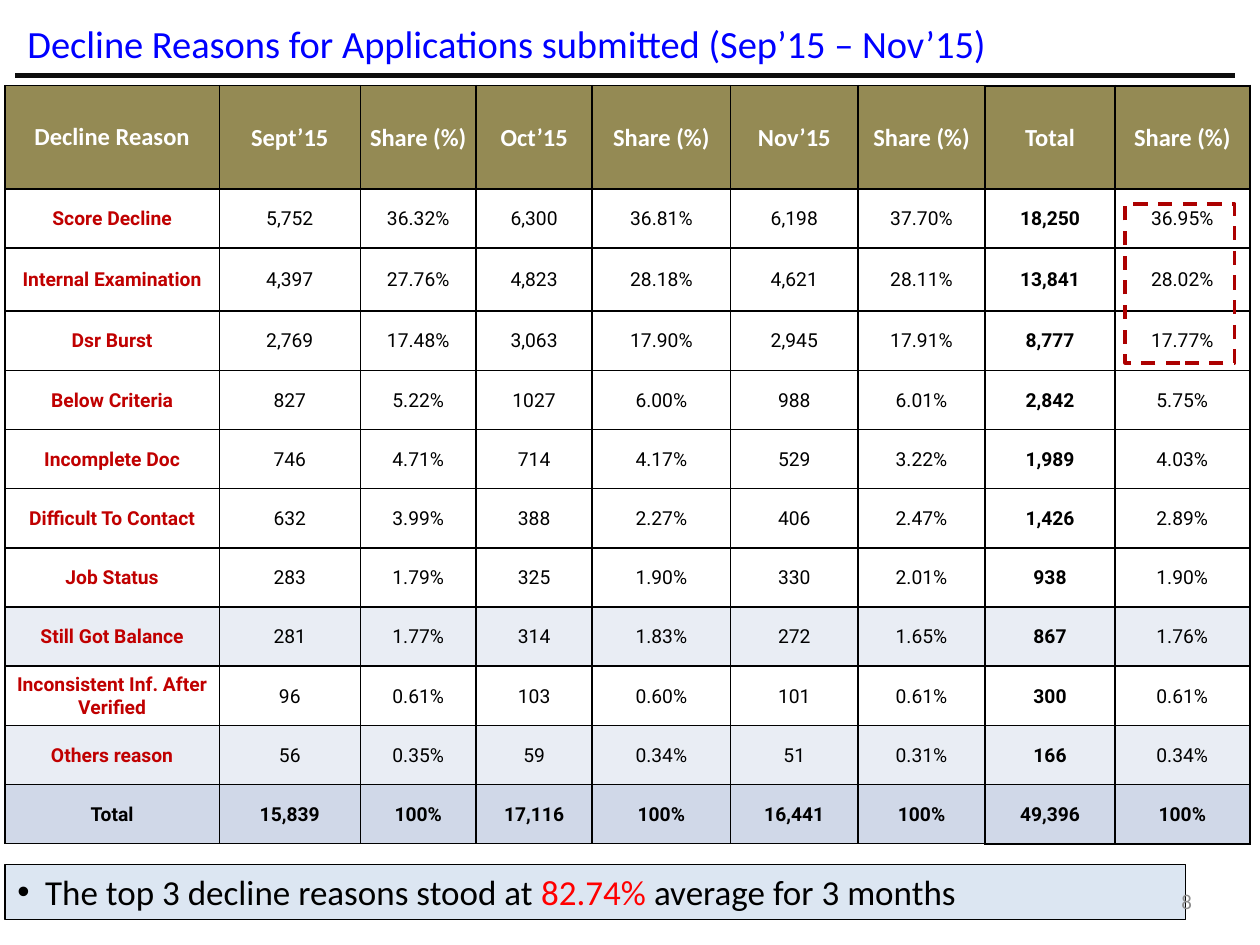
from lxml.etree import SubElement
from pptx import Presentation
from pptx.dml.color import RGBColor
from pptx.enum.dml import MSO_LINE
from pptx.enum.shapes import MSO_CONNECTOR, MSO_SHAPE
from pptx.enum.text import MSO_ANCHOR, PP_ALIGN
from pptx.oxml.ns import qn
from pptx.util import Inches, Pt


def color(value):
    return RGBColor.from_string(value)


def add_span(para, text, size, value, font="Calibri", bold=False):
    span = para.add_run()
    span.text = text
    span.font.size = Pt(size)
    span.font.name = font
    span.font.bold = bold
    span.font.color.rgb = color(value)


deck = Presentation()
deck.slide_width, deck.slide_height = Inches(10), Inches(7.5)
page = deck.slides.add_slide(deck.slide_layouts[6])

# Title
title = page.shapes.add_textbox(Inches(0.12), Inches(0.13), Inches(9.77), Inches(0.42))
title.text_frame.word_wrap = True
title.text_frame.vertical_anchor = MSO_ANCHOR.MIDDLE
add_span(title.text_frame.paragraphs[0],
         "Decline Reasons for Applications submitted (Sep’15 – Nov’15)", 22, "0000FF")

# Decline table
rows = [
    ["Decline Reason", "Sept’15", "Share (%)", "Oct’15", "Share (%)", "Nov’15", "Share (%)", "Total", "Share (%)"],
    ["Score Decline", "5,752", "36.32%", "6,300", "36.81%", "6,198", "37.70%", "18,250", "36.95%"],
    ["Internal Examination", "4,397", "27.76%", "4,823", "28.18%", "4,621", "28.11%", "13,841", "28.02%"],
    ["Dsr Burst", "2,769", "17.48%", "3,063", "17.90%", "2,945", "17.91%", "8,777", "17.77%"],
    ["Below Criteria", "827", "5.22%", "1027", "6.00%", "988", "6.01%", "2,842", "5.75%"],
    ["Incomplete Doc", "746", "4.71%", "714", "4.17%", "529", "3.22%", "1,989", "4.03%"],
    ["Difficult To Contact", "632", "3.99%", "388", "2.27%", "406", "2.47%", "1,426", "2.89%"],
    ["Job Status", "283", "1.79%", "325", "1.90%", "330", "2.01%", "938", "1.90%"],
    ["Still Got Balance", "281", "1.77%", "314", "1.83%", "272", "1.65%", "867", "1.76%"],
    ["Inconsistent Inf. After Verified", "96", "0.61%", "103", "0.60%", "101", "0.61%", "300", "0.61%"],
    ["Others reason", "56", "0.35%", "59", "0.34%", "51", "0.31%", "166", "0.34%"],
    ["Total", "15,839", "100%", "17,116", "100%", "16,441", "100%", "49,396", "100%"],
]
widths = [1.7, 1.12, 0.92, 0.92, 1.1, 1.01, 1.01, 1.03, 1.07]
heights = [0.82, 0.47, 0.5] + [0.47] * 9
row_fills = {0: "948A54", 8: "E9EDF4", 10: "E9EDF4", 11: "D0D8E8"}
last_row, last_column, total_column = len(rows) - 1, len(widths) - 1, 7

frame = page.shapes.add_table(len(rows), len(widths), Inches(0.04), Inches(0.68),
                              Inches(sum(widths)), Inches(sum(heights)))
table = frame.table
for column, width in zip(table.columns, widths):
    column.width = Inches(width)
for row, height in zip(table.rows, heights):
    row.height = Inches(height)

for r, values in enumerate(rows):
    for c, text in enumerate(values):
        cell = table.cell(r, c)
        cell.vertical_anchor = MSO_ANCHOR.MIDDLE
        if (r, c) != (0, 0):
            cell.margin_left = cell.margin_right = cell.margin_top = Inches(0.01)
            cell.margin_bottom = 0

        # Thick outline around the two overall columns
        overall = c >= total_column
        thick = {
            "a:lnL": c == total_column,
            "a:lnR": c in (total_column - 1, last_column),
            "a:lnT": overall and r == 0,
            "a:lnB": overall and r == last_row,
        }
        for side, is_thick in thick.items():
            border = SubElement(cell._tc.get_or_add_tcPr(), qn(side),
                                w=str(Pt(1.5 if is_thick else 1)))
            SubElement(SubElement(border, qn("a:solidFill")), qn("a:srgbClr"), val="000000")

        if r in row_fills:
            cell.fill.solid()
            cell.fill.fore_color.rgb = color(row_fills[r])
        else:
            cell.fill.background()

        para = cell.text_frame.paragraphs[0]
        para.alignment = PP_ALIGN.CENTER
        if r == 0:
            add_span(para, text, 14, "FFFFFF", bold=True)
        else:
            reason = c == 0 and r < last_row
            bold = c in (0, total_column) or r == last_row
            add_span(para, text, 11, "C00000" if reason else "000000", "Roboto", bold)

# Rule under the title
rule = page.shapes.add_connector(MSO_CONNECTOR.STRAIGHT, Inches(0.12), Inches(0.6),
                                 Inches(9.8), Inches(0.6))
rule.line.color.rgb = color("0D0D0D")
rule.line.width = Pt(3)
SubElement(rule._element.spPr, qn("a:effectLst"))

# Key finding
finding = page.shapes.add_shape(MSO_SHAPE.RECTANGLE, Inches(0.04), Inches(6.86),
                                Inches(9.37), Inches(0.44))
finding.shadow.inherit = False
finding.fill.solid()
finding.fill.fore_color.rgb = color("DCE6F2")
finding.line.color.rgb = color("000000")
finding.line.width = Pt(0.75)
finding.text_frame.word_wrap = True
finding.text_frame.vertical_anchor = MSO_ANCHOR.TOP
para = finding.text_frame.paragraphs[0]
para.alignment = PP_ALIGN.LEFT
para.space_after = Pt(6)
properties = para._p.get_or_add_pPr()
properties.set("marL", str(Inches(0.22)))
properties.set("indent", str(Inches(-0.22)))
SubElement(properties, qn("a:buFont"), typeface="Arial")
SubElement(properties, qn("a:buChar"), char="•")
add_span(para, "The top 3 decline reasons stood at ", 20, "000000")
add_span(para, "82.74%", 20, "FF0000")
add_span(para, " average for 3 months", 20, "000000")

# Page number
number = page.shapes.add_textbox(Inches(7.23), Inches(6.95), Inches(2.33), Inches(0.4))
number.text_frame.word_wrap = True
number.text_frame.vertical_anchor = MSO_ANCHOR.MIDDLE
para = number.text_frame.paragraphs[0]
para.alignment = PP_ALIGN.RIGHT
add_span(para, "8", 12, "8C8C8C")

# Dashed frame around the top three shares
highlight = page.shapes.add_shape(MSO_SHAPE.RECTANGLE, Inches(8.93), Inches(1.62),
                                  Inches(0.87), Inches(1.26))
highlight.shadow.inherit = False
highlight.fill.background()
highlight.line.color.rgb = color("AC0000")
highlight.line.width = Pt(2)
highlight.line.dash_style = MSO_LINE.DASH

deck.save("out.pptx")
